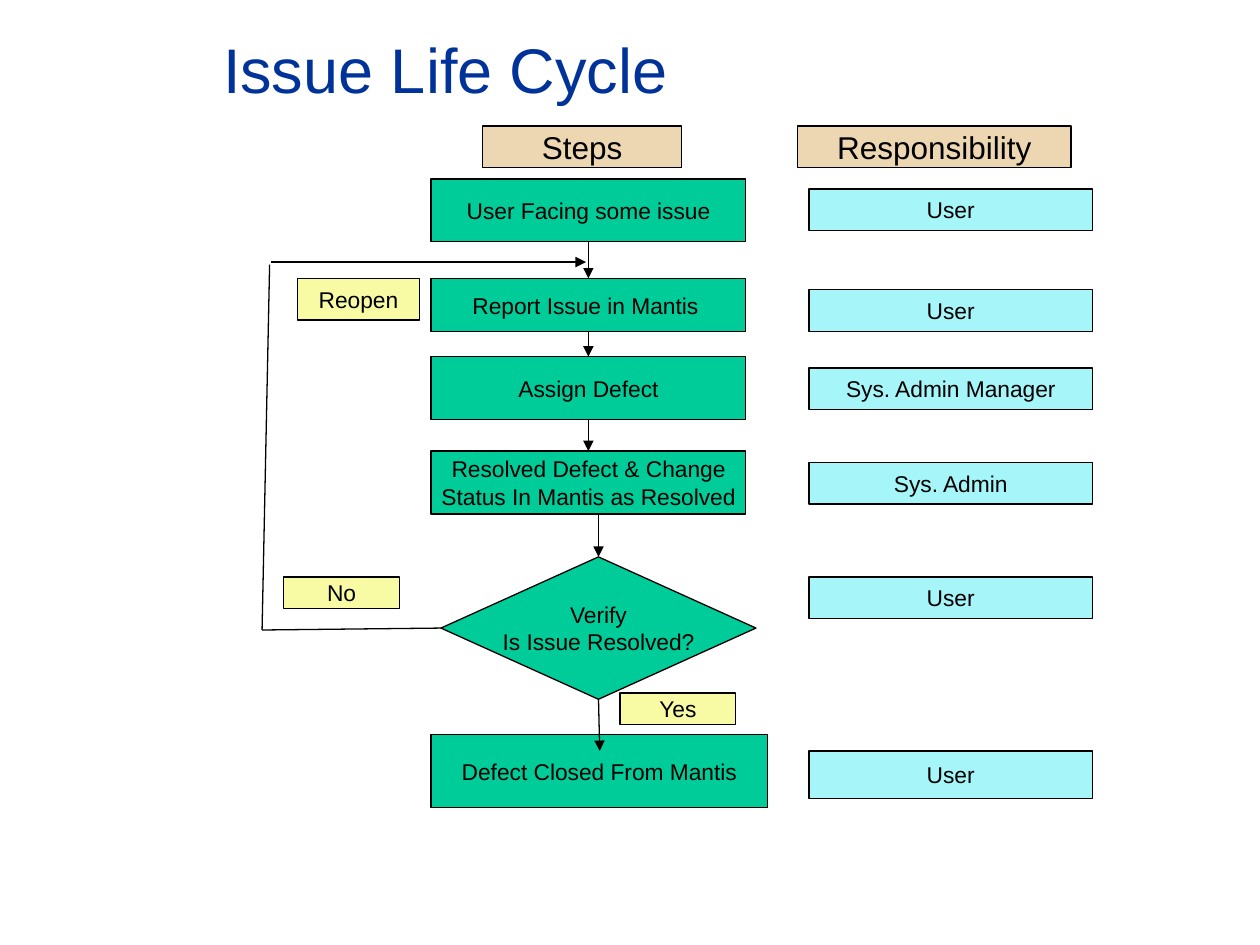
from dataclasses import dataclass

from lxml.etree import SubElement
from pptx import Presentation
from pptx.dml.color import RGBColor
from pptx.enum.shapes import MSO_CONNECTOR, MSO_SHAPE as SHAPE
from pptx.enum.text import MSO_ANCHOR, PP_ALIGN
from pptx.oxml.ns import qn
from pptx.util import Inches, Pt


@dataclass(frozen=True)
class Theme:
    font: str = "Arial"
    title: RGBColor = RGBColor(0x00, 0x33, 0x99)
    ink: RGBColor = RGBColor(0x00, 0x00, 0x00)
    step: RGBColor = RGBColor(0x00, 0xCC, 0x99)
    header: RGBColor = RGBColor(0xEC, 0xD7, 0xB2)
    role: RGBColor = RGBColor(0xA5, 0xF5, 0xF9)
    label: RGBColor = RGBColor(0xF8, 0xFA, 0xA4)
    title_size: Pt = Pt(36)
    header_size: Pt = Pt(18)
    body_size: Pt = Pt(13)
    line: Pt = Pt(0.75)


T = Theme()

prs = Presentation()
prs.slide_width, prs.slide_height = Inches(10), Inches(7.5)
s = prs.slides.add_slide(prs.slide_layouts[5])


def add_box(text, x, y, w, h, fill, size=T.body_size, kind=SHAPE.RECTANGLE):
    sp = s.shapes.add_shape(kind, Inches(x), Inches(y), Inches(w), Inches(h))
    sp.shadow.inherit = False
    sp.fill.solid()
    sp.fill.fore_color.rgb = fill
    sp.line.color.rgb = T.ink
    sp.line.width = T.line
    tf = sp.text_frame
    tf.word_wrap = False
    tf.vertical_anchor = MSO_ANCHOR.MIDDLE
    tf.text = text
    for p in tf.paragraphs:
        p.alignment = PP_ALIGN.CENTER
        p.font.name, p.font.size = T.font, size
        p.font.color.rgb = T.ink
    return sp


def add_line(start, end, arrow=True):
    """Draw a line; each end is an (x, y) point or a (shape, side) joint."""
    c = s.shapes.add_connector(MSO_CONNECTOR.STRAIGHT, 0, 0, 0, 0)
    if isinstance(start[0], float):
        c.begin_x, c.begin_y = Inches(start[0]), Inches(start[1])
    else:
        c.begin_connect(*start)
    if isinstance(end[0], float):
        c.end_x, c.end_y = Inches(end[0]), Inches(end[1])
    else:
        c.end_connect(*end)
    c.line.color.rgb = T.ink
    c.line.width = T.line
    if arrow:
        SubElement(c.line._get_or_add_ln(), qn("a:tailEnd"), type="triangle")
    SubElement(c._element.spPr, qn("a:effectLst"))


# Title
title = s.shapes.title
title.left, title.top = Inches(1.67), Inches(0.17)
title.width, title.height = Inches(8.17), Inches(0.75)
tf = title.text_frame
tf.text = "Issue Life Cycle"
tf.vertical_anchor = MSO_ANCHOR.MIDDLE
p = tf.paragraphs[0]
p.alignment = PP_ALIGN.LEFT
p.font.name, p.font.size = T.font, T.title_size
p.font.color.rgb = T.title

# Column headers
for text, x, w in [("Steps", 3.83, 1.58), ("Responsibility", 6.33, 2.17)]:
    add_box(text, x, 1, w, 0.33, T.header, T.header_size)

# Steps
steps = [
    add_box(text, 3.42, y, 2.5, h, T.step)
    for text, y, h in [
        ("User Facing some issue", 1.42, 0.5),
        ("Report Issue in Mantis ", 2.21, 0.42),
        ("Assign Defect", 2.83, 0.5),
        ("Resolved Defect & Change\nStatus In Mantis as Resolved", 3.58, 0.5),
    ]
]
verify = add_box("Verify\nIs Issue Resolved?", 3.5, 4.42, 2.5, 1.13, T.step,
                 kind=SHAPE.FLOWCHART_DECISION)
add_box("Defect Closed From Mantis", 3.42, 5.83, 2.67, 0.58, T.step)

# Responsibilities
for text, y, h in [
    ("User", 1.5, 0.33),
    ("User", 2.3, 0.33),
    ("Sys. Admin Manager", 2.92, 0.33),
    ("Sys. Admin", 3.67, 0.33),
    ("User", 4.58, 0.33),
    ("User", 5.96, 0.38),
]:
    add_box(text, 6.42, y, 2.25, h, T.role)

# Flow between the steps
for upper, lower in zip(steps, steps[1:]):
    add_line((upper, 2), (lower, 0))
add_line((4.75, 4.08), (verify, 0))
add_line((verify, 2), (4.76, 5.96))

# Loop back to reporting
add_line((verify, 1), (2.08, 5.0), arrow=False)
add_line((2.14, 2.1), (2.08, 5.0), arrow=False)
add_line((2.15, 2.08), (4.65, 2.08))

# Branch labels
for text, x, y, w, h in [
    ("Yes", 4.92, 5.5, 0.92, 0.25),
    ("No", 2.25, 4.58, 0.92, 0.25),
    ("Reopen", 2.36, 2.21, 0.97, 0.33),
]:
    add_box(text, x, y, w, h, T.label)

prs.save("out.pptx")
